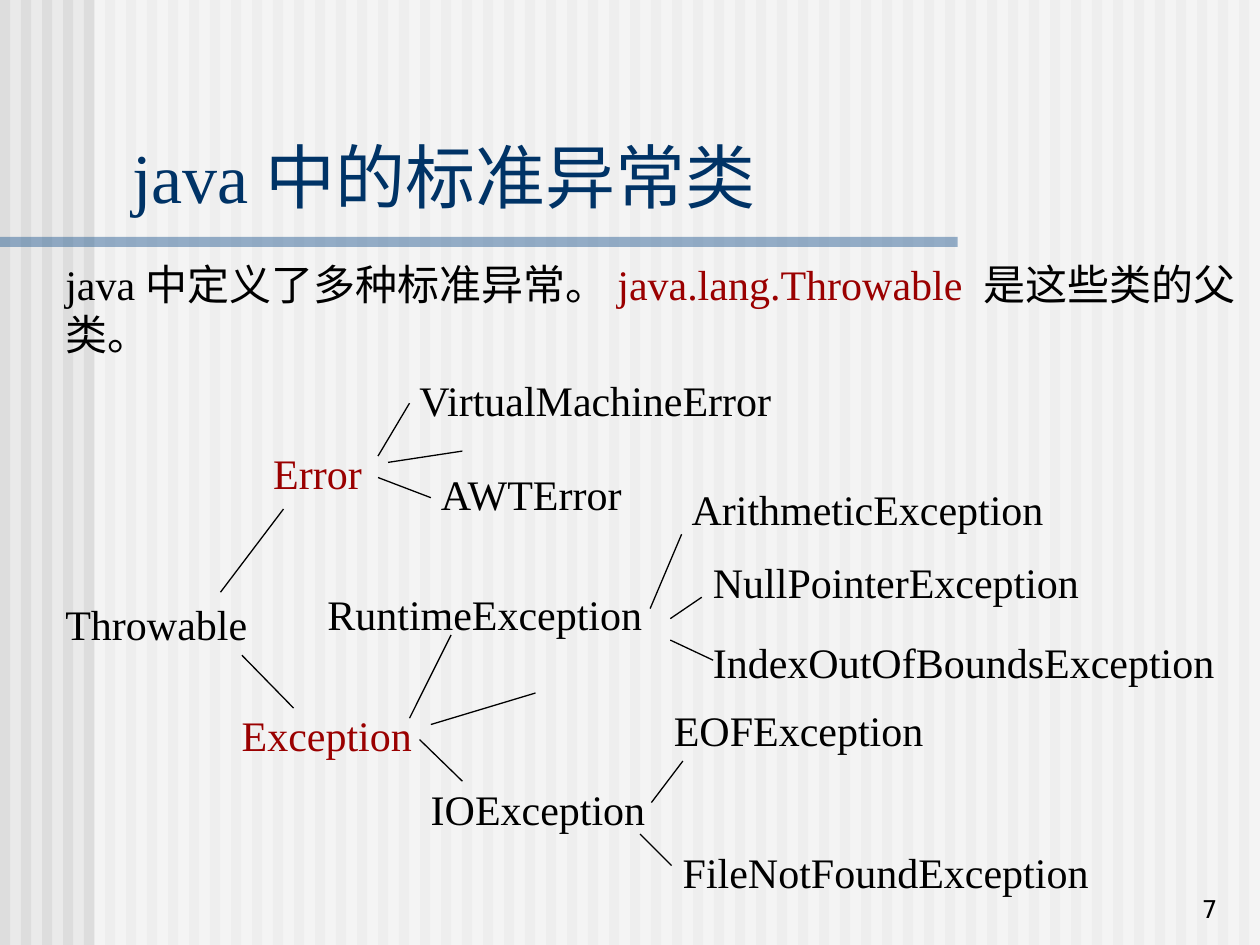
import pptx
import pptx.dml.color
import pptx.enum.shapes
import pptx.enum.text
import pptx.oxml
import pptx.oxml.ns
import pptx.util
from lxml import etree

Inches = pptx.util.Inches
Pt = pptx.util.Pt
RGBColor = pptx.dml.color.RGBColor
Anchor = pptx.enum.text.MSO_ANCHOR
Align = pptx.enum.text.PP_ALIGN
AutoSize = pptx.enum.text.MSO_AUTO_SIZE

BACKGROUND = RGBColor(0xEA, 0xEA, 0xEA)
STRIPE = RGBColor(0xDD, 0xDD, 0xDD)
WHITE = RGBColor(0xFF, 0xFF, 0xFF)
BLACK = RGBColor(0x00, 0x00, 0x00)
RED = RGBColor(0x9A, 0x00, 0x00)
NAVY = RGBColor(0x00, 0x33, 0x66)
RULE_BLUE = RGBColor(0x33, 0x66, 0x99)

# Class name, left, top, width, colour; widths leave room for one line
CLASSES = [
    ("Throwable", 0.42, 4.7, 1.67, BLACK),
    ("Error", 2.07, 3.5, 0.92, RED),
    ("Exception", 1.82, 5.58, 1.57, RED),
    ("VirtualMachineError", 3.23, 2.92, 3.02, BLACK),
    ("AWTError", 3.4, 3.67, 1.67, BLACK),
    ("RuntimeException", 2.5, 4.62, 2.72, BLACK),
    ("IOException", 3.32, 6.17, 1.92, BLACK),
    ("EOFException", 5.25, 5.54, 2.2, BLACK),
    ("FileNotFoundException", 5.32, 6.67, 3.44, BLACK),
    ("ArithmeticException", 5.39, 3.79, 3.02, BLACK),
    ("NullPointerException", 5.56, 4.37, 3.13, BLACK),
    ("IndexOutOfBoundsException", 5.56, 5, 4.2, BLACK),
]

# Start x, start y, end x, end y
BRANCHES = [
    # Throwable
    (1.75, 4.7, 2.25, 4.04),
    (1.92, 5.2, 2.33, 5.62),
    # Error
    (3, 3.62, 3.25, 3.2),
    (3.08, 3.67, 3.67, 3.58),
    (3, 3.79, 3.42, 3.95),
    # Exception
    (3.25, 5.7, 3.58, 5.04),
    (3.42, 5.75, 4.25, 5.5),
    (3.33, 5.87, 3.67, 6.2),
    # RuntimeException
    (5.16, 4.83, 5.41, 4.24),
    (5.32, 4.91, 5.57, 4.74),
    (5.32, 5.08, 5.66, 5.24),
    # IOException
    (5.17, 6.37, 5.42, 6.04),
    (5.08, 6.62, 5.33, 6.87),
]


class SlideBuilder:
    font = "Times New Roman"
    size = 24
    line_width = 0.75

    def __init__(self, page):
        self.page = page

    def bar(self, left, top, width, height, color, opacity=100):
        bar = self.page.shapes.add_shape(
            pptx.enum.shapes.MSO_SHAPE.RECTANGLE,
            Inches(left), Inches(top), Inches(width), Inches(height))
        bar.shadow.inherit = False
        bar.line.fill.background()
        bar.fill.solid()
        bar.fill.fore_color.rgb = color
        if opacity < 100:
            clr = bar.element.spPr.find(".//" + pptx.oxml.ns.qn("a:srgbClr"))
            alpha = etree.SubElement(clr, pptx.oxml.ns.qn("a:alpha"))
            alpha.set("val", str(opacity * 1000))

    def format_span(self, span, color, size=None, font=None):
        span.font.name = font or self.font
        span.font.size = Pt(size or self.size)
        span.font.color.rgb = color

    def text(self, left, top, width, height, spans, wrap=False):
        box = self.page.shapes.add_textbox(
            Inches(left), Inches(top), Inches(width), Inches(height))
        box.text_frame.word_wrap = wrap
        box.text_frame.auto_size = AutoSize.SHAPE_TO_FIT_TEXT
        para = box.text_frame.paragraphs[0]
        for words, color in spans:
            span = para.add_run()
            span.text = words
            self.format_span(span, color)

    def branch(self, x1, y1, x2, y2):
        line = self.page.shapes.add_connector(
            pptx.enum.shapes.MSO_CONNECTOR.STRAIGHT,
            Inches(x1), Inches(y1), Inches(x2), Inches(y2))
        line.line.color.rgb = BLACK
        line.line.width = Pt(self.line_width)
        etree.SubElement(line.element.spPr, pptx.oxml.ns.qn("a:effectLst"))

    def title(self, left, top, width, height, words):
        title = self.page.shapes.title
        title.left, title.top = Inches(left), Inches(top)
        title.width, title.height = Inches(width), Inches(height)
        frame = title.text_frame
        frame.text = words
        frame.word_wrap = True
        frame.auto_size = AutoSize.SHAPE_TO_FIT_TEXT
        frame.vertical_anchor = Anchor.BOTTOM
        para = frame.paragraphs[0]
        para.alignment = Align.LEFT
        self.format_span(para.runs[0], NAVY, 40)
        # Bring the title in front of the background bars
        title.element.getparent().append(title.element)

    def page_number(self, left, top, width, height, number):
        box = self.page.shapes.add_textbox(
            Inches(left), Inches(top), Inches(width), Inches(height))
        box.text_frame.text = number
        box.text_frame.word_wrap = True
        box.text_frame.vertical_anchor = Anchor.BOTTOM
        para = box.text_frame.paragraphs[0]
        para.alignment = Align.RIGHT
        self.format_span(para.runs[0], BLACK, 14, "DejaVu Sans")


def main():
    deck = pptx.Presentation()
    deck.slide_width = Inches(10)
    deck.slide_height = Inches(7.5)
    page = deck.slides.add_slide(deck.slide_layouts[5])
    page.background.fill.solid()
    page.background.fill.fore_color.rgb = BACKGROUND
    builder = SlideBuilder(page)

    # Striped background, veil and title rule
    for index in range(60):
        builder.bar(index / 6, 0, 0.08, 7.5, STRIPE)
    builder.bar(0.75, 0, 9.25, 7.5, WHITE, opacity=50)
    builder.bar(0, 1.88, 7.6, 0.08, RULE_BLUE, opacity=50)

    # Title and introduction
    builder.title(0.95, 1.01, 8.93, 0.77, "java中的标准异常类")
    builder.text(0.42, 2, 9.58, 0.9, [
        ("java中定义了多种标准异常。", BLACK),
        ("java.lang.Throwable ", RED),
        ("是这些类的父类。", BLACK),
    ], wrap=True)

    # Class tree
    for name, left, top, width, color in CLASSES:
        builder.text(left, top, width, 0.5, [(name, color)])
    for ends in BRANCHES:
        builder.branch(*ends)

    # Page number
    builder.page_number(7.68, 6.88, 2.08, 0.5, "7")

    deck.save("out.pptx")


if __name__ == "__main__":
    main()
